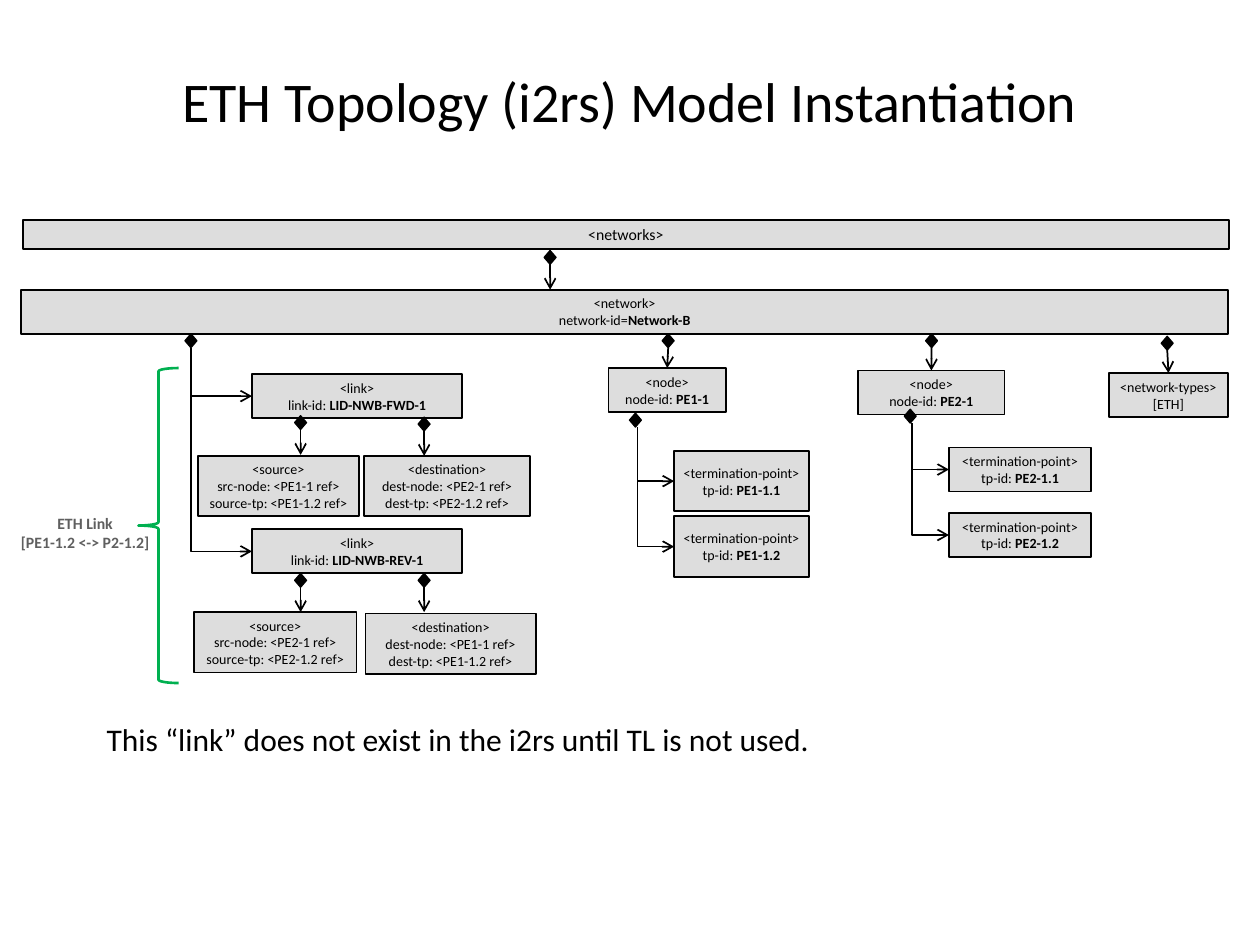
"""Build the ETH topology model instantiation slide."""
from dataclasses import dataclass
from typing import Any, Optional

from lxml.etree import SubElement
from pptx import Presentation
from pptx.dml.color import RGBColor
from pptx.enum.shapes import MSO_CONNECTOR as Link, MSO_SHAPE as Preset
from pptx.enum.text import MSO_ANCHOR as Anchor, MSO_AUTO_SIZE as AutoSize, PP_ALIGN as Align
from pptx.oxml.ns import qn
from pptx.util import Cm, Pt

BLACK = RGBColor(0x00, 0x00, 0x00)
BOX_GREY = RGBColor(0xDD, 0xDD, 0xDD)
LABEL_GREY = RGBColor(0x5F, 0x5F, 0x5F)
GREEN = RGBColor(0x00, 0xB0, 0x50)

DIAMOND_WIDTH, DIAMOND_HEIGHT = 0.24, 0.28
ROW, TALL_ROW = 0.89, 1.22
TIGHT = dict(margin_left=Cm(0.18), margin_right=Cm(0.18), margin_top=Cm(0.1),
             margin_bottom=Cm(0.1), auto_size=AutoSize.SHAPE_TO_FIT_TEXT)
BOX_FRAME = dict(TIGHT, word_wrap=True, vertical_anchor=Anchor.MIDDLE)
LABEL_FRAME = dict(TIGHT, word_wrap=False)
NOTE_FRAME = dict(word_wrap=False, auto_size=AutoSize.SHAPE_TO_FIT_TEXT)
TITLE_FRAME = dict(word_wrap=True, vertical_anchor=Anchor.MIDDLE)


@dataclass(frozen=True)
class Box:
    """A grey element box; a line is (plain text, optional bold text)."""
    key: str
    left: float
    top: float
    width: float
    height: float
    lines: tuple
    size: int = 8


@dataclass(frozen=True)
class Drop:
    """A diamond with an arrow down to a height or to a box's top."""
    centre: float
    top: float
    end: float = 0
    target: Optional[str] = None


@dataclass(frozen=True)
class Branch:
    """A diamond with elbow arrows, each given as (start height, box)."""
    centre: float
    top: float
    trunk: float
    arms: tuple


def link_box(key: str, top: float, name: str) -> Box:
    """Describe a link."""
    return Box(key, 5.08, top, 4.24, ROW, (("<link>",), ("link-id: ", name)))


def end_box(key: str, left: float, top: float, width: float, title: str,
            node: str, point: str, peer: str) -> Box:
    """Describe one end of a link."""
    lines = ((f"<{title}>",), (f"{node}-node: <{peer} ref>",), (f"{point}-tp: <{peer}.2 ref>",))
    return Box(key, left, top, width, TALL_ROW, lines)


def node_box(name: str, left: float, top: float, width: float) -> Box:
    """Describe a node."""
    return Box(name, left, top, width, ROW, (("<node>",), ("node-id: ", name)))


def point_boxes(node: str, left: float, top: float, width: float, height: float) -> list[Box]:
    """Describe the two termination points of a node."""
    return [Box(f"{node}.{i + 1}", left, top + 1.32 * i, width, height,
                (("<termination-point>",), ("tp-id: ", f"{node}.{i + 1}"))) for i in range(2)]


BOXES = [
    Box("networks", 0.46, 4.44, 24.31, 0.58, (("<networks>",),), 9),
    Box("network", 0.43, 5.84, 24.33, ROW, (("<network>",), ("network-id=", "Network-B"))),
    link_box("forward", 7.54, "LID-NWB-FWD-1"),
    end_box("forward source", 3.99, 9.19, 3.25, "source", "src", "source", "PE1-1"),
    end_box("forward destination", 7.34, 9.19, 3.35, "destination", "dest", "dest", "PE2-1"),
    link_box("reverse", 10.67, "LID-NWB-REV-1"),
    end_box("reverse source", 3.91, 12.34, 3.28, "source", "src", "source", "PE2-1"),
    end_box("reverse destination", 7.37, 12.37, 3.43, "destination", "dest", "dest", "PE1-1"),
    node_box("PE1-1", 12.27, 7.42, 2.36),
    node_box("PE2-1", 17.3, 7.47, 2.95),
    Box("types", 22.35, 7.52, 2.41, ROW, (("<network-types>",), ("[ETH]",))),
    *point_boxes("PE1-1", 13.59, 9.09, 2.72, TALL_ROW),
    *point_boxes("PE2-1", 19.13, 9.02, 2.87, ROW),
]
DROPS = [
    Drop(11.09, 5.05, 5.84),
    Drop(6.06, 8.38, 9.17), Drop(8.55, 8.41, 9.19),
    Drop(6.06, 11.56, 12.34), Drop(8.55, 11.56, 12.34),
    Drop(13.47, 6.73, target="PE1-1"), Drop(18.78, 6.73, target="PE2-1"),
    Drop(23.53, 6.78, target="types"),
]
BRANCHES = [
    Branch(3.85, 6.73, 3.85, ((7.01, "forward"), (7.95, "reverse"))),
    Branch(12.81, 8.33, 12.85, ((8.61, "PE1-1.1"), (9.32, "PE1-1.2"))),
    Branch(18.35, 8.25, 18.39, ((8.53, "PE2-1.1"), (9.22, "PE2-1.2"))),
]


def apply(target: Any, values: dict) -> None:
    """Set every named attribute on the target."""
    for name, value in values.items():
        setattr(target, name, value)


def write(shape: Any, lines: tuple, frame: dict, size: int, color: RGBColor = BLACK,
          align: Align = Align.CENTER, bold: bool = False) -> None:
    """Write lines of plain and bold runs into a shape."""
    apply(shape.text_frame, frame)
    for index, line in enumerate(lines):
        paragraph = shape.text_frame.add_paragraph() if index else shape.text_frame.paragraphs[0]
        paragraph.alignment = align
        for position, text in enumerate(line):
            run = paragraph.add_run()
            run.text = text
            apply(run.font, dict(name="Calibri", size=Pt(size), bold=bold or position > 0))
            run.font.color.rgb = color


def add_preset(slide: Any, preset: Preset, area: tuple, fill: Optional[RGBColor],
               line: RGBColor, weight: float) -> Any:
    """Add a flat preset shape; an empty fill leaves it hollow."""
    shape = slide.shapes.add_shape(preset, *map(Cm, area))
    shape.shadow.inherit = False
    if fill is None:
        shape.fill.background()
    else:
        shape.fill.solid()
        shape.fill.fore_color.rgb = fill
    shape.line.color.rgb = line
    shape.line.width = Pt(weight)
    return shape


def add_box(slide: Any, box: Box) -> Any:
    """Draw an element box."""
    area = (box.left, box.top, box.width, box.height)
    shape = add_preset(slide, Preset.RECTANGLE, area, BOX_GREY, BLACK, 1)
    write(shape, box.lines, BOX_FRAME, box.size)
    return shape


def add_diamond(slide: Any, centre: float, top: float) -> Any:
    """Draw a composition diamond."""
    area = (centre - DIAMOND_WIDTH / 2, top, DIAMOND_WIDTH, DIAMOND_HEIGHT)
    return add_preset(slide, Preset.DIAMOND, area, BLACK, BLACK, 0.75)


def add_arrow(slide: Any, kind: Link, *ends: int) -> Any:
    """Draw a black connector with an open arrowhead."""
    connector = slide.shapes.add_connector(kind, *ends)
    connector.line.color.rgb = BLACK
    connector.line.width = Pt(1)
    properties = connector.element.spPr
    SubElement(properties.find(qn("a:ln")), qn("a:tailEnd"), type="arrow")
    SubElement(properties, qn("a:effectLst"))
    return connector


def add_drop(slide: Any, drop: Drop, shapes: dict) -> None:
    """Draw a diamond and its downward arrow."""
    diamond = add_diamond(slide, drop.centre, drop.top)
    centre = Cm(drop.centre)
    arrow = add_arrow(slide, Link.STRAIGHT, centre, Cm(drop.top + DIAMOND_HEIGHT),
                      centre, Cm(drop.end))
    arrow.begin_connect(diamond, 2)
    if drop.target:
        arrow.end_connect(shapes[drop.target], 0)


def add_elbow(slide: Any, trunk: int, start: int, target: Any) -> None:
    """Draw an arrow that goes down and then right to a box's left side."""
    across, down = target.left - trunk, target.top + target.height // 2 - start
    left, top = trunk + (across - down) // 2, start + (down - across) // 2
    arrow = add_arrow(slide, Link.ELBOW, left, top, left + down, top + across)
    properties = arrow.element.spPr
    properties.find(qn("a:prstGeom")).set("prst", "bentConnector2")
    for name, value in dict(rot="16200000", flipH="1").items():
        properties.find(qn("a:xfrm")).set(name, value)


def main() -> None:
    """Build and save the slide."""
    presentation = Presentation()
    apply(presentation, dict(slide_width=Cm(25.4), slide_height=Cm(19.05)))
    slide = presentation.slides.add_slide(presentation.slide_layouts[6])

    title = slide.shapes.add_textbox(Cm(1.27), Cm(0.43), Cm(22.86), Cm(3.18))
    write(title, (("ETH Topology (i2rs) Model Instantiation",),), TITLE_FRAME, 32)

    shapes = {box.key: add_box(slide, box) for box in BOXES}
    for drop in DROPS:
        add_drop(slide, drop, shapes)
    for branch in BRANCHES:
        add_diamond(slide, branch.centre, branch.top)
        for start, key in branch.arms:
            add_elbow(slide, Cm(branch.trunk), Cm(start), shapes[key])

    add_preset(slide, Preset.LEFT_BRACE, (2.79, 7.42, 0.81, 6.35), None, GREEN, 1.5)
    label = slide.shapes.add_textbox(Cm(0.23), Cm(10.26), Cm(2.97), Cm(0.97))
    write(label, (("ETH Link",), ("[PE1-1.2 <-> P2-1.2]",)), LABEL_FRAME, 9, LABEL_GREY, bold=True)
    note = slide.shapes.add_textbox(Cm(1.9), Cm(14.4), Cm(14.86), Cm(1.02))
    write(note, (("This “link” does not exist in the i2rs until TL is not used.",),),
          NOTE_FRAME, 18, align=Align.LEFT)
    presentation.save("out.pptx")


if __name__ == "__main__":
    main()
